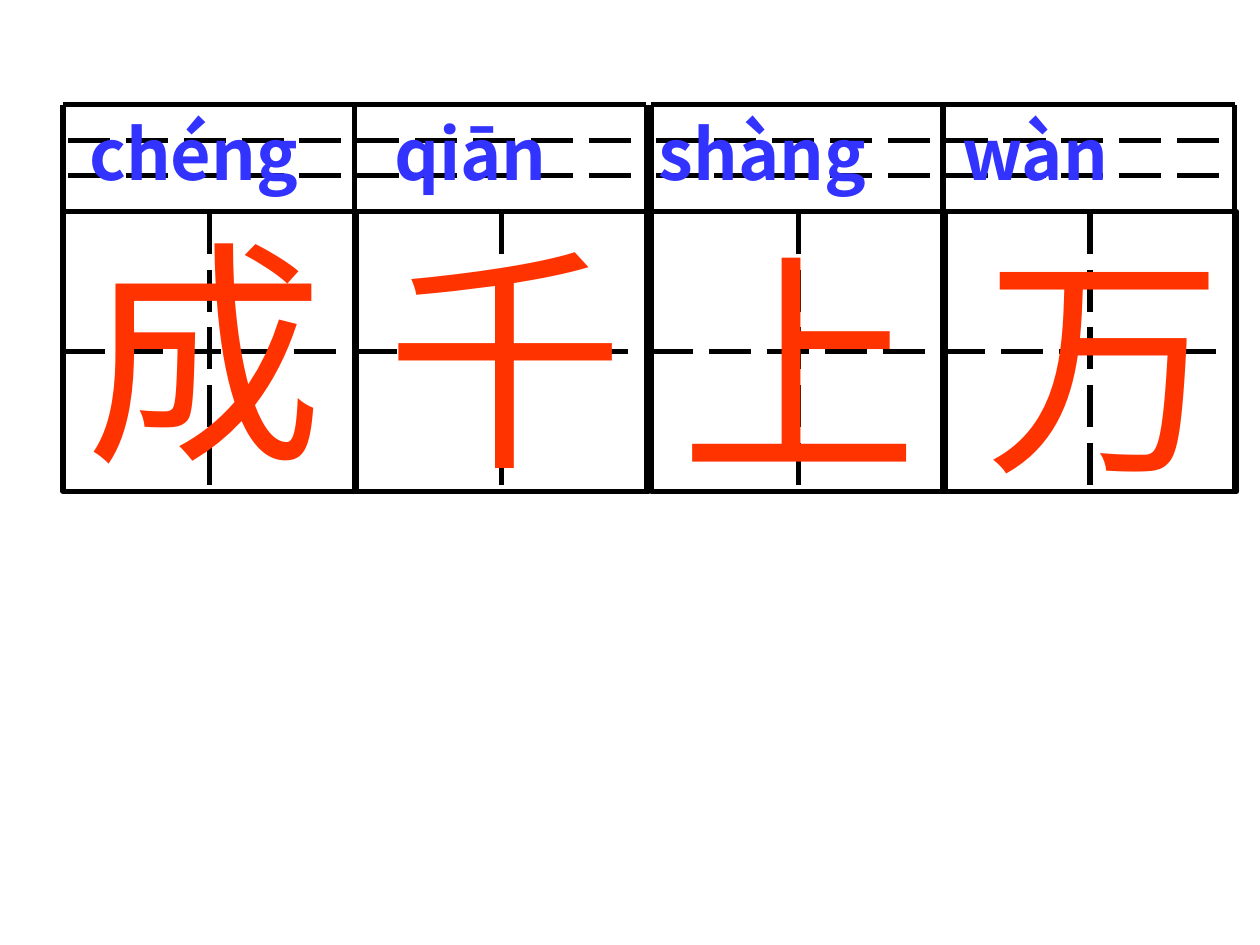
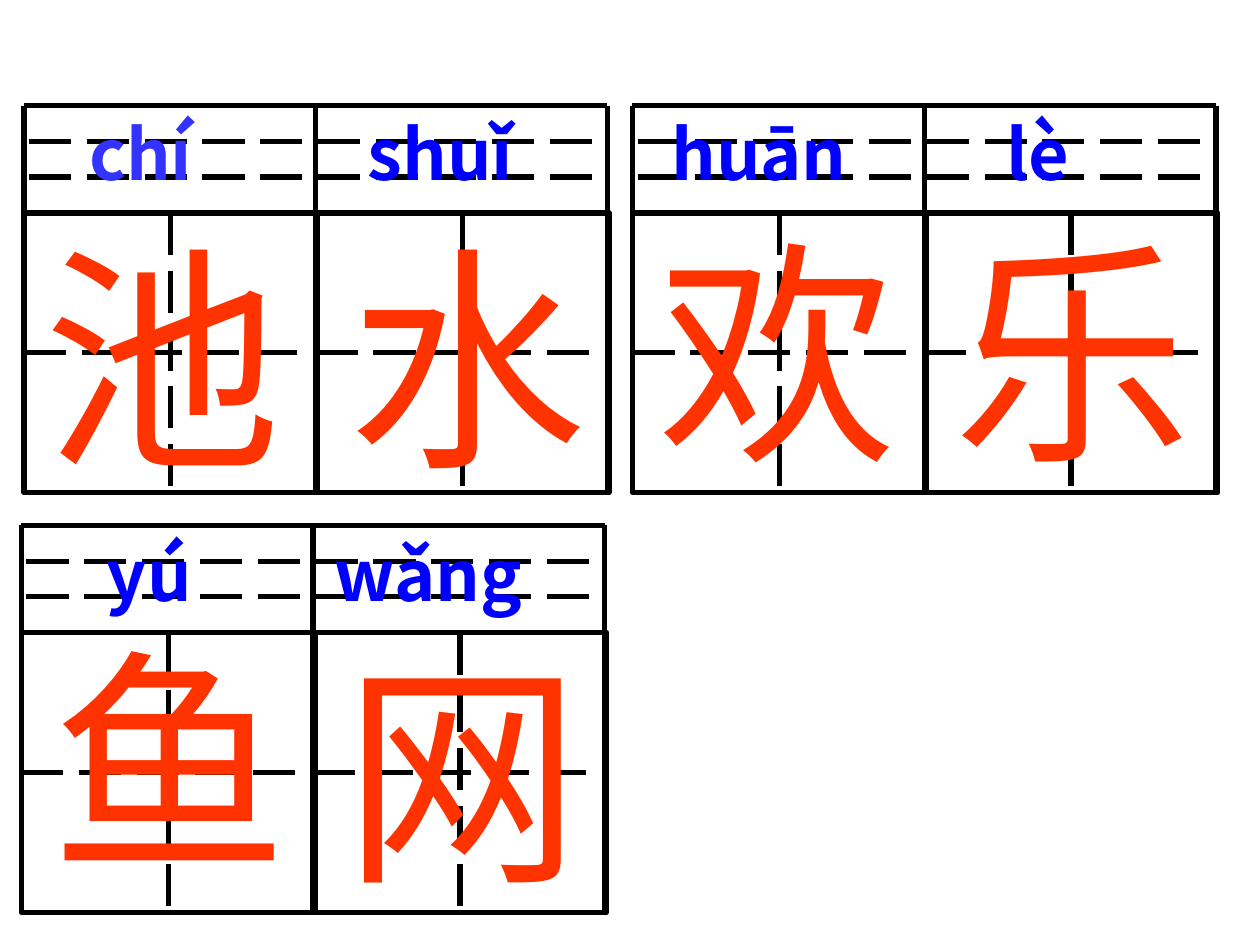
import pptx
import pptx.dml.color
import pptx.enum.dml
import pptx.enum.shapes
import pptx.enum.text
import pptx.oxml.ns
import pptx.util
from lxml import etree

COLUMNS, ROWS = 100, 75
INK, HANZI_RED, PINYIN_BLUE, DEEP_BLUE = "000000", "FF3300", "3333FF", "0000FF"
CELL_PITCH, CELL_WIDTH, CELL_HEIGHT = 23.15, 23.3, 22.2
BAND_HEIGHT, BLOCK_WIDTH, BLOCK_HEIGHT = 8.5, 46.3, 30.7
GUIDE_ROWS = (2.85, 5.65)
GUIDE_INDENT, AXIS_LENGTH = 0.4, 22.8
HANZI_WIDTH, HANZI_HEIGHT, PINYIN_HEIGHT = 22.8, 23.7, 7.7
INSET = 1
SOLID = {"width": pptx.util.Pt(3)}
DASHED = {**SOLID, "dash_style": pptx.enum.dml.MSO_LINE.LONG_DASH}
HANZI_FONT = {"name": "Arial", "size": pptx.util.Pt(136)}
PINYIN_FONT = {"name": "Noto Sans CJK SC", "size": pptx.util.Pt(40), "bold": True}
FRAME = {
    "word_wrap": True,
    "auto_size": pptx.enum.text.MSO_AUTO_SIZE.SHAPE_TO_FIT_TEXT,
    "vertical_anchor": pptx.enum.text.MSO_ANCHOR.TOP,
}


def rgb(code):
    return pptx.dml.color.RGBColor.from_string(code)


def apply(target, values):
    for name, value in values.items():
        setattr(target, name, value)


class CharacterSheet:
    def __init__(self):
        self.deck = pptx.Presentation()
        self.deck.slide_width = pptx.util.Inches(10)
        self.deck.slide_height = pptx.util.Inches(7.5)
        self.slide = None

    def new_slide(self):
        self.slide = self.deck.slides.add_slide(self.deck.slide_layouts[6])

    def x(self, columns):
        return round(self.deck.slide_width * columns / COLUMNS)

    def y(self, rows):
        return round(self.deck.slide_height * rows / ROWS)

    def stroke(self, line, style):
        line.color.rgb = rgb(INK)
        apply(line, style)

    def line(self, group, start, end, style=SOLID):
        rule = group.shapes.add_connector(
            pptx.enum.shapes.MSO_CONNECTOR.STRAIGHT,
            self.x(start[0]), self.y(start[1]), self.x(end[0]), self.y(end[1]))
        self.stroke(rule.line, style)
        properties = rule._element.spPr
        etree.SubElement(properties, pptx.oxml.ns.qn("a:effectLst"))
        return rule

    def cell(self, group, left, top):
        square = group.shapes.add_shape(
            pptx.enum.shapes.MSO_SHAPE.RECTANGLE,
            self.x(left), self.y(top), self.x(CELL_WIDTH), self.y(CELL_HEIGHT))
        square.shadow.inherit = False
        square.fill.background()
        self.stroke(square.line, SOLID)
        centre, middle = left + CELL_WIDTH / 2, top + CELL_HEIGHT / 2
        upright = self.line(group, (centre, top), (centre, top + CELL_HEIGHT), DASHED)
        upright.begin_connect(square, 0)
        upright.end_connect(square, 2)
        level = self.line(group, (left, middle), (left + AXIS_LENGTH, middle), DASHED)
        level.begin_connect(square, 1)

    def practice_block(self, left, top):
        group = self.slide.shapes.add_group_shape()
        right = left + BLOCK_WIDTH
        for index in range(2):
            self.cell(group, left + index * CELL_PITCH, top + BAND_HEIGHT)
        self.line(group, (left, top), (right, top))
        for offset in GUIDE_ROWS:
            self.line(group, (left + GUIDE_INDENT, top + offset), (right, top + offset), DASHED)
        for index in range(3):
            edge = left + index * CELL_PITCH
            self.line(group, (edge, top), (edge, top + BLOCK_HEIGHT))

    def text_area(self, left, top, width, height):
        frame = self.slide.shapes.add_textbox(
            self.x(left), self.y(top), self.x(width), self.y(height)).text_frame
        apply(frame, FRAME)
        return frame.paragraphs[0]

    def run(self, paragraph, text, style, colour):
        piece = paragraph.add_run()
        piece.text = text
        apply(piece.font, style)
        piece.font.color.rgb = rgb(colour)
        east_asian = etree.SubElement(piece._r.get_or_add_rPr(), pptx.oxml.ns.qn("a:ea"))
        east_asian.set("typeface", PINYIN_FONT["name"])

    def hanzi(self, character, left, top):
        paragraph = self.text_area(left, top, HANZI_WIDTH, HANZI_HEIGHT)
        self.run(paragraph, character, HANZI_FONT, HANZI_RED)

    def pinyin(self, left, top, width, syllables):
        paragraph = self.text_area(left, top, width, PINYIN_HEIGHT)
        stops = etree.SubElement(paragraph._p.get_or_add_pPr(), pptx.oxml.ns.qn("a:tabLst"))
        for syllable, column, colour in syllables:
            stop = etree.SubElement(stops, pptx.oxml.ns.qn("a:tab"))
            stop.set("pos", str(self.x(column - left - INSET)))
            stop.set("algn", "l")
            self.run(paragraph, "\t" + syllable, PINYIN_FONT, colour)


LESSONS = [
    {
        "blocks": [(5, 8.3), (51.7, 8.3)],
        "hanzi": [("千", 29.7, 16.3), ("成", 5.8, 15.8), ("上", 53, 16.7), ("万", 77.2, 16.7)],
        "pinyin": [
            (0, 8.3, 99.6, [("chéng", 7.1, PINYIN_BLUE), ("qiān", 31.3, PINYIN_BLUE),
                            ("shàng", 52.3, PINYIN_BLUE), ("wàn", 76.4, PINYIN_BLUE)]),
        ],
    },
    {
        "blocks": [(1.9, 8.4), (50.2, 8.4), (1.7, 41.7)],
        "hanzi": [("水", 26.7, 16.3), ("池", 2.5, 16.3), ("欢", 51.3, 15.8),
                  ("乐", 74.7, 15.8), ("网", 26.3, 49.2), ("鱼", 3, 48.3)],
        "pinyin": [
            (1.2, 8.3, 99.6, [("chí", 7.1, PINYIN_BLUE), ("shuǐ", 29.2, DEEP_BLUE),
                              ("huān", 53.3, DEEP_BLUE), ("lè", 79.9, DEEP_BLUE)]),
            (0, 41.7, 60.8, [("yú", 8.5, DEEP_BLUE), ("wǎng", 26.6, DEEP_BLUE)]),
        ],
    },
]


def main():
    sheet = CharacterSheet()
    for lesson in LESSONS:
        sheet.new_slide()
        for block in lesson["blocks"]:
            sheet.practice_block(*block)
        for character in lesson["hanzi"]:
            sheet.hanzi(*character)
        for reading in lesson["pinyin"]:
            sheet.pinyin(*reading)
    sheet.deck.save("out.pptx")


if __name__ == "__main__":
    main()
